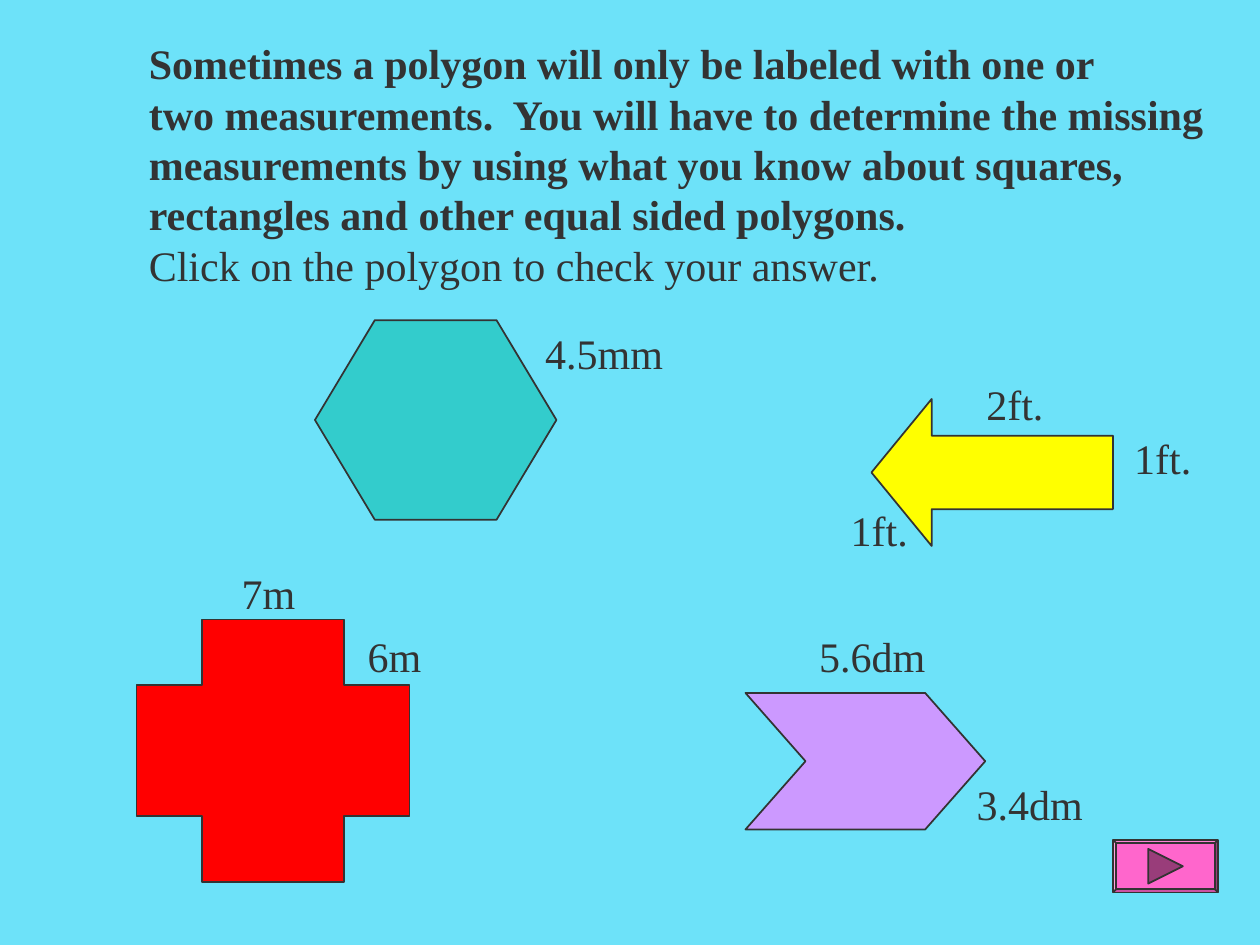
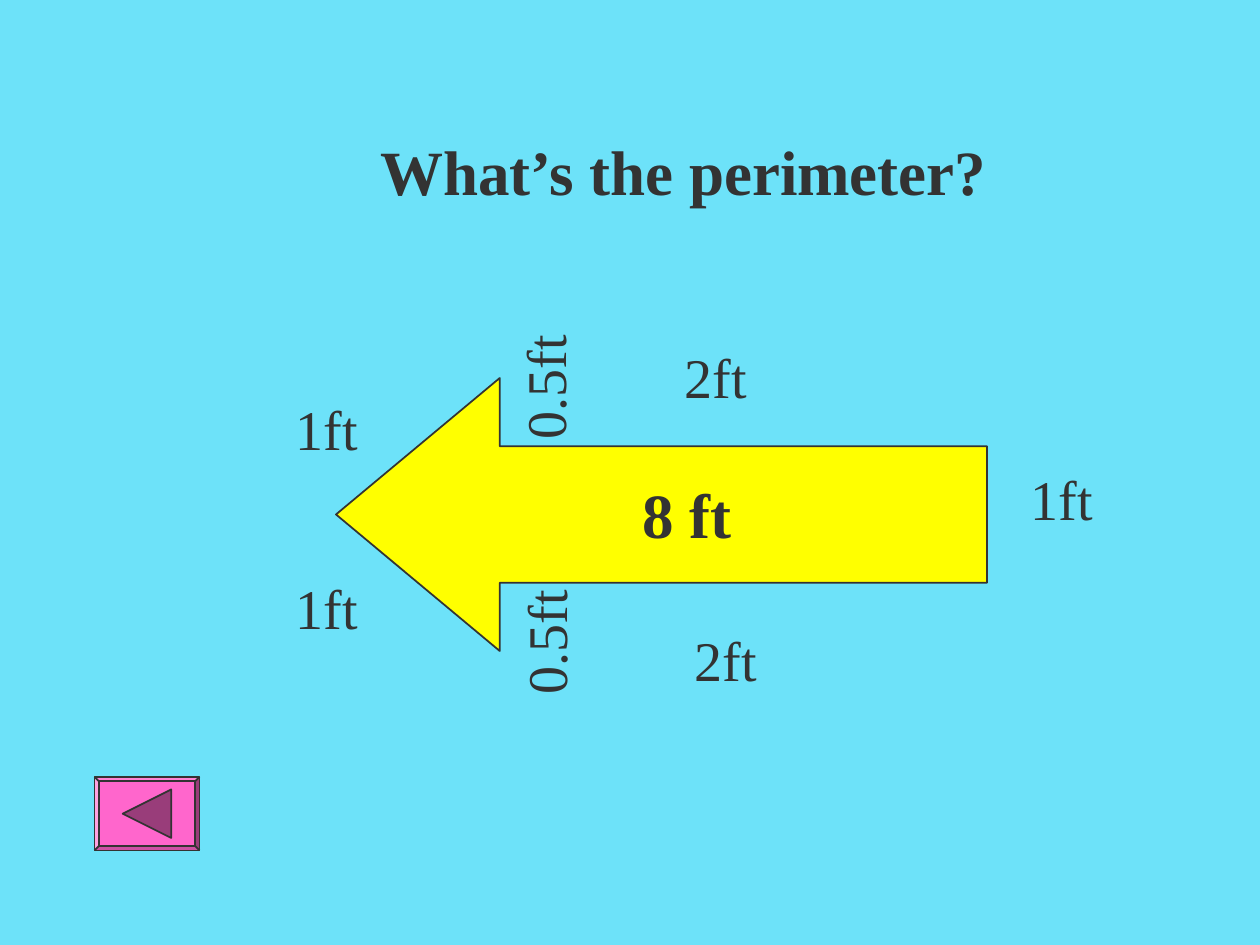
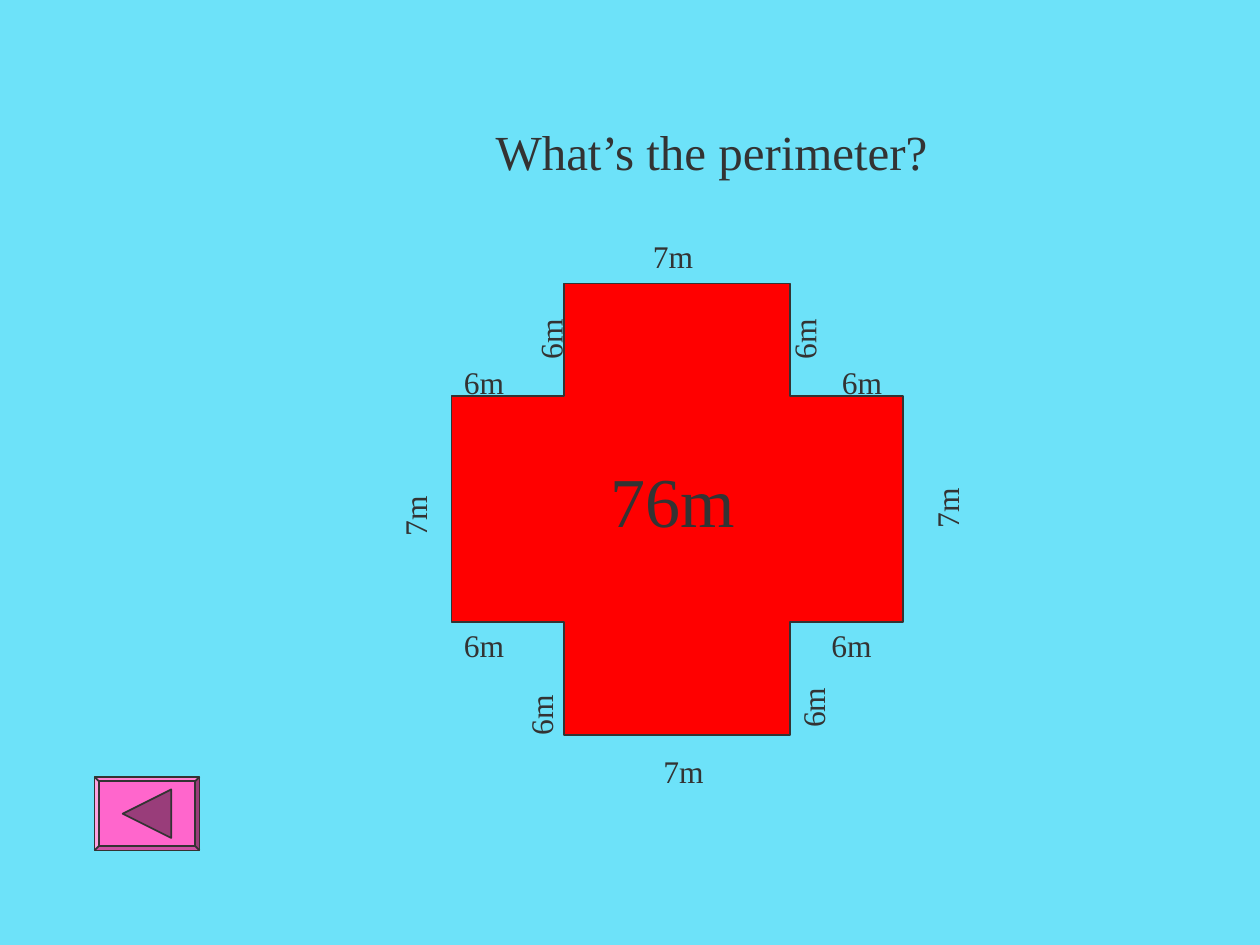
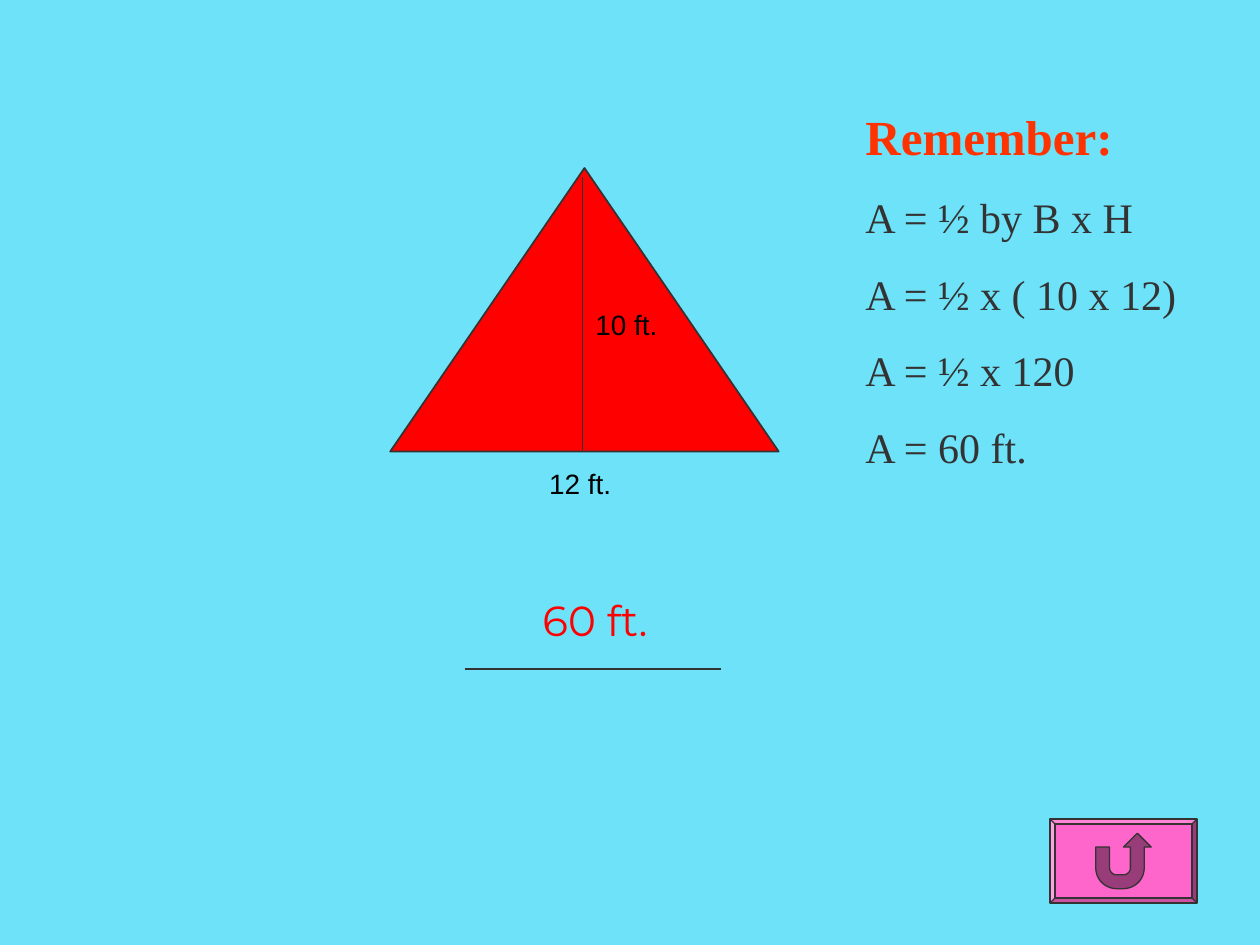
from dataclasses import dataclass
from functools import partial
from math import cos, radians, sin

from lxml import etree
from pptx import Presentation
from pptx.dml.color import RGBColor
from pptx.enum.shapes import MSO_CONNECTOR, MSO_SHAPE
from pptx.enum.text import MSO_ANCHOR, MSO_AUTO_SIZE, PP_ALIGN
from pptx.oxml.ns import qn
from pptx.util import Pt

# Shared constants
PLUS, HEXAGON, CHEVRON = MSO_SHAPE.CROSS, MSO_SHAPE.HEXAGON, MSO_SHAPE.CHEVRON
LEFT_ARROW, TRIANGLE = MSO_SHAPE.LEFT_ARROW, MSO_SHAPE.ISOSCELES_TRIANGLE
BEVEL = MSO_SHAPE.BEVEL
STRAIGHT = MSO_CONNECTOR.STRAIGHT
TOP, MIDDLE = MSO_ANCHOR.TOP, MSO_ANCHOR.MIDDLE
LEFT, CENTER = PP_ALIGN.LEFT, PP_ALIGN.CENTER
GROW, FIXED = MSO_AUTO_SIZE.SHAPE_TO_FIT_TEXT, MSO_AUTO_SIZE.NONE

COLORS = {
    "sky": "6DE2F9", "ink": "333333", "black": "000000", "red": "FF0000",
    "orange": "FF3300", "teal": "33CCCC", "violet": "CC99FF",
    "yellow": "FFFF00", "pink": "FF66CC", "plum": "993D7A",
}
SERIF, SANS, ROUND = "Times New Roman", "Arial", "Montserrat"
TITLE_ONLY, BLANK = 5, 6
QUESTION = "What’s the perimeter?"


@dataclass(frozen=True)
class Box:
    left: float
    top: float
    width: float
    height: float

    def lengths(self) -> list[Pt]:
        return [Pt(v) for v in (self.left, self.top, self.width, self.height)]


@dataclass(frozen=True)
class Polygon:
    kind: int
    box: Box
    color: str
    adjustments: tuple = ()


@dataclass(frozen=True)
class Label:
    text: str
    left: float
    top: float
    width: float
    turned: bool = False
    wrap: bool = False


def color(name: str) -> RGBColor:
    return RGBColor.from_string(COLORS[name])


# Text
def write(frame, text: str, *, size: float = 24, bold: bool = False,
          tint: str = "ink", font: str = SERIF, before: float = 0,
          wrap: bool = True, align=LEFT, anchor=TOP, fit=GROW) -> None:
    """Append each line of text to the frame as a paragraph."""
    frame.word_wrap = wrap
    frame.auto_size = fit
    frame.vertical_anchor = anchor
    for line in text.split("\n"):
        first = not frame.text
        paragraph = frame.paragraphs[0] if first else frame.add_paragraph()
        paragraph.alignment = align
        if before and not first:
            paragraph.space_before = Pt(before)
        run = paragraph.add_run()
        run.text = line
        run.font.size = Pt(size)
        run.font.bold = bold
        run.font.name = font
        run.font.color.rgb = color(tint)


def add_text(slide, text: str, box: Box, *, turned: bool = False, **style):
    holder = slide.shapes.add_textbox(*box.lengths())
    holder.rotation = 270 if turned else 0
    write(holder.text_frame, text, **style)
    return holder.text_frame


def add_labels(slide, labels: list[Label], height: float, size: float) -> None:
    for label in labels:
        add_text(slide, label.text,
                 Box(label.left, label.top, label.width, height),
                 turned=label.turned, size=size, wrap=label.wrap)


def set_title(slide, text: str, box: Box, **style) -> None:
    title = slide.shapes.title
    title.left, title.top, title.width, title.height = box.lengths()
    write(title.text_frame, text, **style)


# Shapes and lines
def paint(shape, fill: str, weight: float = 1) -> None:
    shape.shadow.inherit = False
    shape.fill.solid()
    shape.fill.fore_color.rgb = color(fill)
    shape.line.color.rgb = color("ink")
    shape.line.width = Pt(weight)


def add_polygon(slide, polygon: Polygon, weight: float = 1) -> None:
    shape = slide.shapes.add_shape(polygon.kind, *polygon.box.lengths())
    for index, value in enumerate(polygon.adjustments):
        shape.adjustments[index] = value
    paint(shape, polygon.color, weight)


def add_line(slide, x1: float, y1: float, x2: float, y2: float,
             weight: float = 1) -> None:
    line = slide.shapes.add_connector(STRAIGHT, Pt(x1), Pt(y1), Pt(x2), Pt(y2))
    line.line.color.rgb = color("ink")
    line.line.width = Pt(weight)
    etree.SubElement(line._element.spPr, qn("a:effectLst"))


# Navigation buttons: a bevel with an icon given on a unit square
def arc(x: float, y: float, radius: float, start: float, end: float,
        steps: int = 9) -> list[tuple]:
    angles = [radians(start + (end - start) * i / steps) for i in range(steps + 1)]
    return [(x + radius * cos(a), y + radius * sin(a)) for a in angles]


FORWARD = [(0, 0), (1, 0.5), (0, 1)]
BACK = [(1 - x, y) for x, y in FORWARD]
RETURN = [
    (0, 0.25), (0.25, 0.25),
    *arc(0.375, 0.625, 0.125, 180, 90), *arc(0.5, 0.625, 0.125, 90, 0),
    (0.625, 0.25), (0.5, 0.25), (0.75, 0), (1, 0.25), (0.875, 0.25),
    *arc(0.5, 0.625, 0.375, 0, 90), *arc(0.375, 0.625, 0.375, 90, 180),
]


def add_button(slide, box: Box, icon: list[tuple], weight: float = 1) -> None:
    add_polygon(slide, Polygon(BEVEL, box, "pink", (0.06,)), weight)
    side = 0.66 * min(box.width, box.height)
    left = box.left + (box.width - side) / 2
    top = box.top + (box.height - side) / 2
    points = [(Pt(left + side * x), Pt(top + side * y)) for x, y in icon]
    builder = slide.shapes.build_freeform(*points[0])
    builder.add_line_segments(points[1:], close=True)
    paint(builder.convert_to_shape(), "plum", weight)


BACK_BOX = Box(54, 444, 60, 42)


# Slide 1: polygons with missing measurements
def build_practice(slide) -> None:
    intro = add_text(
        slide,
        "Sometimes a polygon will only be labeled with one or\n"
        "two measurements.  You will have to determine the missing\n"
        "measurements by using what you know about squares, "
        "rectangles and other equal sided polygons.",
        Box(78, 18, 642, 151), bold=True)
    write(intro, "Click on the polygon to check your answer.")

    for polygon in (
        Polygon(PLUS, Box(78, 354, 156, 150), "red", (0.25,)),
        Polygon(HEXAGON, Box(180, 183, 138, 114), "teal", (0.3,)),
        Polygon(CHEVRON, Box(426, 396, 137, 78), "violet", (0.44,)),
        Polygon(LEFT_ARROW, Box(498, 228, 138, 84), "yellow", (0.5, 0.41)),
    ):
        add_polygon(slide, polygon)

    add_labels(slide, [
        Label("2ft.", 556.5, 213, 48),
        Label("1ft.", 641, 243.5, 48),
        Label("1ft.", 479, 285, 48),
        Label("4.5mm", 304.5, 183.5, 83),
        Label("7m", 131, 321, 47),
        Label("6m", 203, 357, 47),
        Label("5.6dm", 461, 357, 76),
        Label("3.4dm", 551, 441.5, 76),
    ], height=36, size=24)
    add_button(slide, Box(636, 480, 60, 30), FORWARD)


# Slide 2: perimeter of the arrow
def build_arrow(slide) -> None:
    set_title(slide, QUESTION, Box(210, 72, 384, 50), size=36, bold=True)
    add_polygon(slide, Polygon(LEFT_ARROW, Box(192, 216, 372, 156),
                               "yellow", (0.5, 0.6)))
    side = partial(Label, wrap=True)
    add_labels(slide, [
        side("2ft", 384, 192, 102),
        side("1ft", 582, 262, 66),
        side("1ft", 162, 324, 66),
        side("1ft", 162, 222, 66),
        side("2ft", 390, 354, 102),
        side("0.5ft", 272, 196, 78, turned=True),
        Label("0.5ft", 274.5, 344, 74, turned=True),
    ], height=46, size=32)
    add_text(slide, "8 ft", Box(360, 268, 72, 50), size=36, bold=True)
    add_button(slide, BACK_BOX, BACK)


# Slide 3: perimeter of the cross
def build_cross(slide) -> None:
    set_title(slide, QUESTION, Box(276, 66, 264, 41), size=28, wrap=False)
    add_button(slide, BACK_BOX, BACK)
    add_polygon(slide, Polygon(PLUS, Box(258, 162, 258, 258), "red", (0.25,)))
    side = partial(Label, width=38)
    upright = partial(side, turned=True)
    add_labels(slide, [
        side("7m", 366, 132),
        side("6m", 468, 354),
        upright("6m", 445.5, 389.5),
        side("6m", 258, 204),
        upright("6m", 295.5, 179),
        side("6m", 474, 204),
        upright("6m", 290, 394),
        side("6m", 258, 354),
        upright("6m", 440.5, 179),
        side("7m", 372, 426),
        upright("7m", 218, 280),
        upright("7m", 522, 275.5),
    ], height=29, size=18)
    add_text(slide, "76m", Box(342, 258, 90, 55.5), size=40)


# Slide 4: area of the triangle
def build_triangle(slide) -> None:
    add_line(slide, 265.5, 382.5, 412, 382.5)
    add_button(slide, Box(600, 468, 84, 48), RETURN, weight=0.75)
    add_polygon(slide, Polygon(TRIANGLE, Box(223, 96, 222, 162), "red", (0.5,)))
    centered = partial(add_text, slide, wrap=False, align=CENTER, fit=FIXED)
    centered("60 ft.", Box(295, 328.5, 90, 51), font=ROUND, tint="red",
             anchor=MIDDLE)
    for measure, box in (("10 ft.", Box(340, 172, 36, 30)),
                         ("12 ft.", Box(312, 263, 39, 22))):
        centered(measure, box, size=16, font=SANS, tint="black")
    add_line(slide, 333, 101, 333, 257, weight=0.75)
    reminder = add_text(slide, "Remember:", Box(487.5, 57.25, 210, 216),
                        size=28, bold=True, tint="orange")
    write(reminder, "A = ½ by B x H\nA = ½ x ( 10 x 12)\nA = ½ x 120\nA = 60 ft.",
          before=15)


def main() -> None:
    deck = Presentation()
    deck.slide_width, deck.slide_height = Pt(720), Pt(540)
    backdrop = deck.slide_master.background.fill
    backdrop.solid()
    backdrop.fore_color.rgb = color("sky")
    for layout, build in ((BLANK, build_practice), (TITLE_ONLY, build_arrow),
                          (TITLE_ONLY, build_cross), (BLANK, build_triangle)):
        build(deck.slides.add_slide(deck.slide_layouts[layout]))
    deck.save("out.pptx")


if __name__ == "__main__":
    main()
